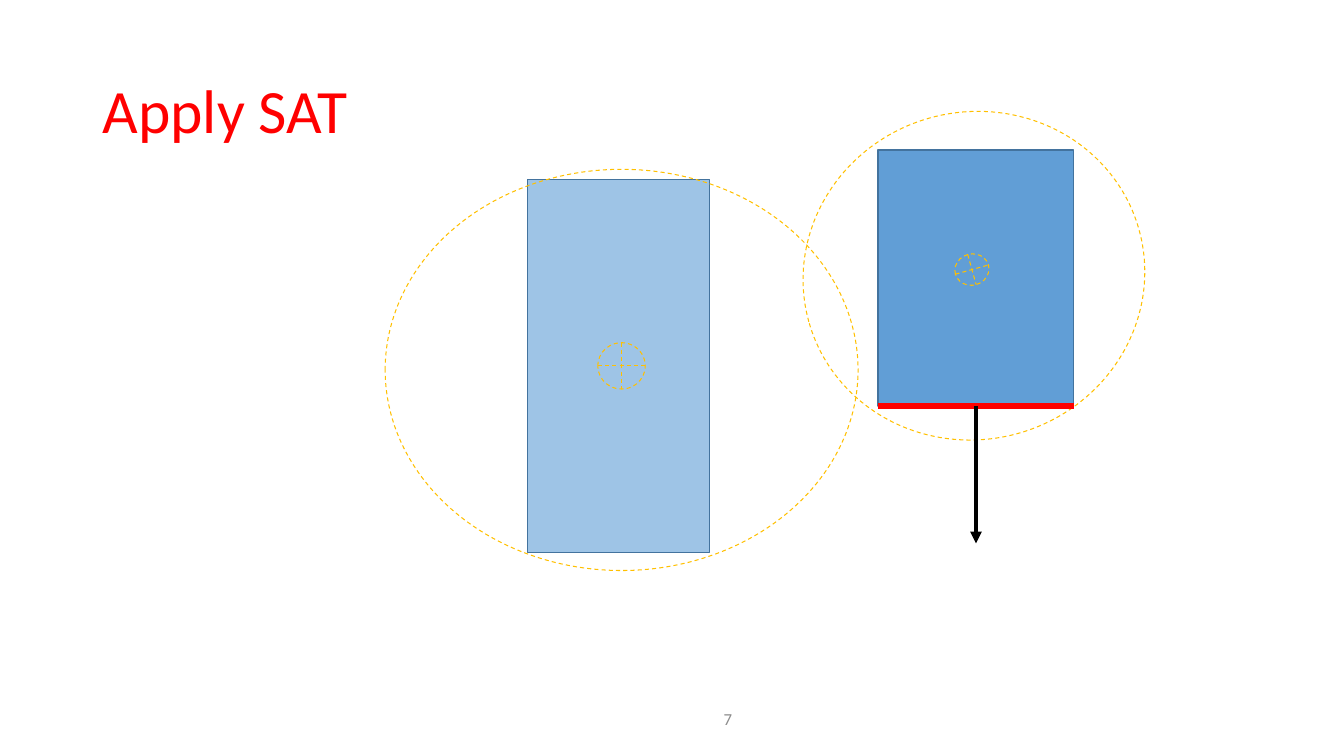
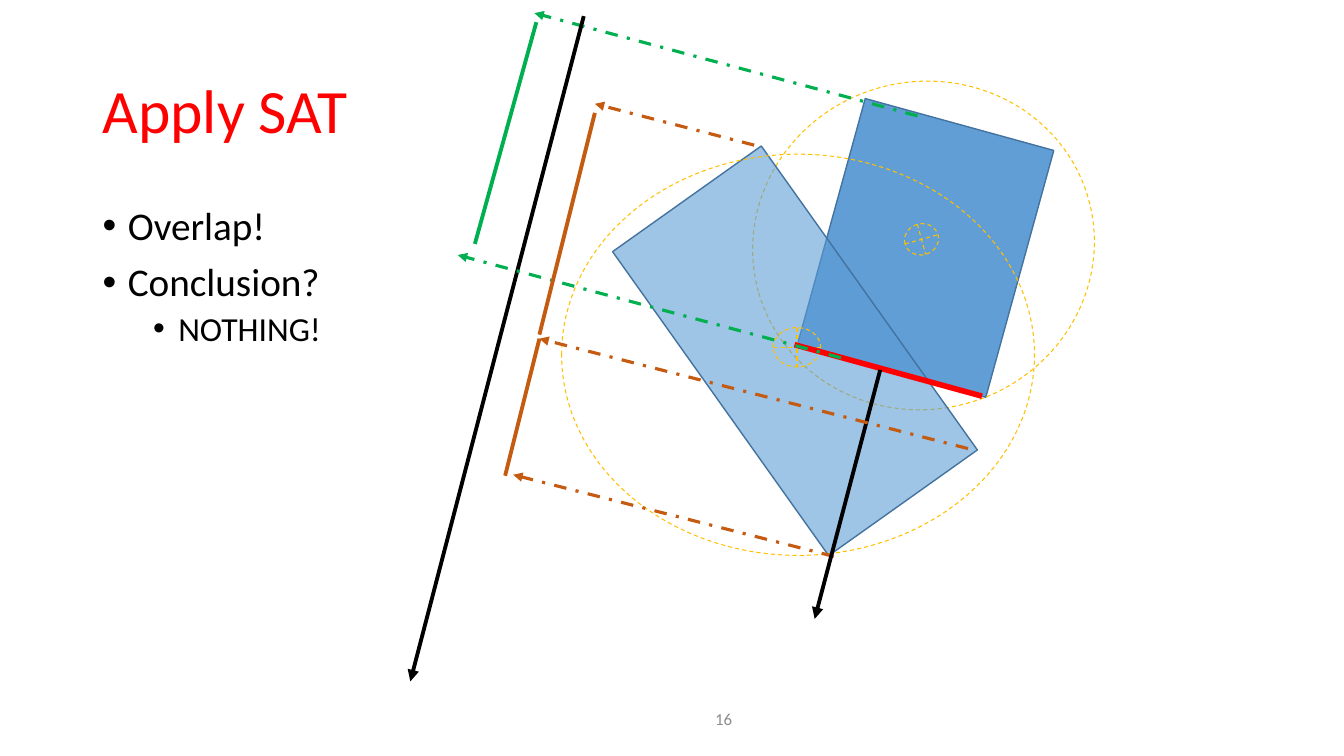
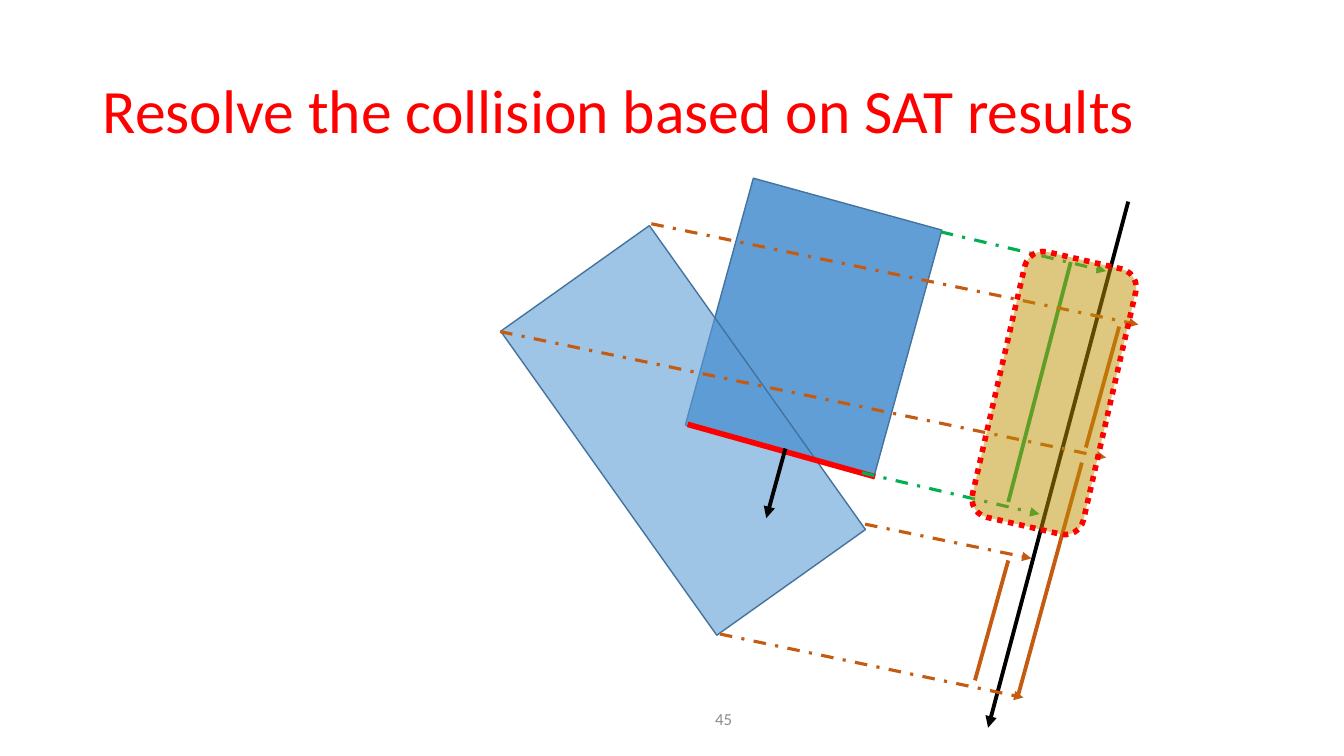
from dataclasses import dataclass

from lxml import etree
from pptx import Presentation
from pptx.dml.color import RGBColor
from pptx.enum.dml import MSO_LINE
from pptx.enum.shapes import MSO_CONNECTOR, MSO_SHAPE
from pptx.enum.text import MSO_ANCHOR, PP_ALIGN
from pptx.oxml.ns import qn
from pptx.util import Inches, Pt

RECT, ROUND_RECT = MSO_SHAPE.RECTANGLE, MSO_SHAPE.ROUNDED_RECTANGLE
OVAL, HUB = MSO_SHAPE.OVAL, MSO_SHAPE.FLOWCHART_OR
DASH, DASH_DOT, DOT = MSO_LINE.DASH, MSO_LINE.DASH_DOT, MSO_LINE.ROUND_DOT
STRAIGHT = MSO_CONNECTOR.STRAIGHT
TOP, MIDDLE = MSO_ANCHOR.TOP, MSO_ANCHOR.MIDDLE
LEFT, RIGHT = PP_ALIGN.LEFT, PP_ALIGN.RIGHT

FONT = "Calibri"
RED, BLACK, GREY = "FF0000", "000000", "8C8C8C"
BLUE, BLUE_EDGE, GOLD, OVERLAP = "5B9BD5", "43739E", "FFC000", "BF9000"
GREEN, ORANGE = "00B050", "C55A11"
BOTTOM_SITE = 2


@dataclass(frozen=True)
class Bound:
    kind: int
    dx: float
    dy: float
    w: float
    h: float


@dataclass(frozen=True)
class Body:
    w: float
    h: float
    alpha: int
    bound_rot: float
    bounds: tuple


@dataclass(frozen=True)
class Stroke:
    color: str
    width: float
    dash: int | None = None
    arrow: bool = False


@dataclass(frozen=True)
class Segment:
    x1: float
    y1: float
    x2: float
    y2: float
    stroke: Stroke


EDGE = Stroke(RED, 4)
AXIS = Stroke(BLACK, 2.75, arrow=True)
GREEN_SPAN, ORANGE_SPAN = Stroke(GREEN, 2.75), Stroke(ORANGE, 2.75)
GREEN_RAY = Stroke(GREEN, 2.25, DASH_DOT, True)
ORANGE_RAY = Stroke(ORANGE, 2.25, DASH_DOT, True)
BODY_LINE = Stroke(BLUE_EDGE, 1)
BOUND_LINE = Stroke(GOLD, 0.75, DASH)

DARK = Body(1.94, 2.54, 96, 344.4, (
    Bound(OVAL, -0.75, -0.38, 3.4, 3.25),
    Bound(HUB, 0.76, 1.03, 0.34, 0.31),
))
LIGHT_BOUND = Bound(OVAL, -1.41, -0.1, 4.69, 3.98)
LIGHT = Body(1.81, 3.7, 59, 0, (LIGHT_BOUND, Bound(HUB, 0.7, 1.62, 0.47, 0.46)))
LIGHT_TURNED = Body(1.81, 3.7, 59, 0, (LIGHT_BOUND, Bound(HUB, 0.69, 1.62, 0.47, 0.39)))
DARK_TURN, LIGHT_TURN = 15.4, 324.6

PROJECTIONS_LEFT = [
    Segment(7.88, 3.42, 9.74, 3.93, EDGE),
    Segment(8.27, 5.52, 5.09, 4.71, ORANGE_RAY),
    Segment(5.01, 4.72, 5.35, 3.36, ORANGE_SPAN),
    Segment(9.1, 1.15, 5.3, 0.13, GREEN_RAY),
    Segment(4.71, 2.42, 5.32, 0.22, GREEN_SPAN),
    Segment(8.73, 3.67, 8.08, 6.14, AXIS),
    Segment(5.79, 0.16, 4.07, 6.76, AXIS),
    Segment(8.34, 3.55, 4.54, 2.53, GREEN_RAY),
    Segment(9.6, 4.45, 5.35, 3.36, ORANGE_RAY),
    Segment(7.48, 1.44, 5.9, 1.03, ORANGE_RAY),
    Segment(5.35, 3.32, 5.9, 1.12, ORANGE_SPAN),
]
PROJECTIONS_RIGHT = [
    Segment(8.68, 4.73, 6.82, 4.21, EDGE),
    Segment(7.79, 4.45, 7.6, 5.14, AXIS),
    Segment(8.58, 5.2, 10.23, 5.54, ORANGE_RAY),
    Segment(10.77, 4.44, 11.1, 3.24, ORANGE_SPAN),
    Segment(9.33, 2.3, 10.97, 2.69, GREEN_RAY),
    Segment(10.62, 2.6, 10, 4.98, GREEN_SPAN),
    Segment(11.19, 2, 9.8, 7.22, AXIS),
    Segment(8.55, 4.69, 10.31, 5.1, GREEN_RAY),
    Segment(7.14, 6.29, 10.15, 6.92, ORANGE_RAY),
    Segment(6.46, 2.22, 11.29, 3.22, ORANGE_RAY),
    Segment(4.96, 3.29, 10.97, 4.54, ORANGE_RAY),
    Segment(9.67, 6.75, 10, 5.56, ORANGE_SPAN),
    Segment(10.1, 6.89, 10.73, 4.59, ORANGE_SPAN),
]


def rgb(value: str) -> RGBColor:
    return RGBColor.from_string(value)


def style_line(line, stroke: Stroke) -> None:
    line.color.rgb = rgb(stroke.color)
    line.width = Pt(stroke.width)
    if stroke.dash is not None:
        line.dash_style = stroke.dash


def add_figure(s, kind: int, x: float, y: float, w: float, h: float, stroke: Stroke,
               *, rot: float = 0, fill: str | None = None, alpha: int = 100):
    sp = s.shapes.add_shape(kind, Inches(x), Inches(y), Inches(w), Inches(h))
    sp.shadow.inherit = False
    sp.rotation = rot
    if fill:
        sp.fill.solid()
        sp.fill.fore_color.rgb = rgb(fill)
        color = sp._element.spPr.find(qn("a:solidFill"))[0]
        etree.SubElement(color, qn("a:alpha"), val=str(alpha * 1000))
    else:
        sp.fill.background()
    style_line(sp.line, stroke)
    return sp


def add_body(s, body: Body, x: float, y: float, *, rot: float = 0, bounded: bool = True):
    rect = add_figure(s, RECT, x, y, body.w, body.h, BODY_LINE,
                      rot=rot, fill=BLUE, alpha=body.alpha)
    for b in body.bounds if bounded else ():
        add_figure(s, b.kind, x + b.dx, y + b.dy, b.w, b.h, BOUND_LINE, rot=body.bound_rot)
    return rect


def add_segment(s, seg: Segment):
    cn = s.shapes.add_connector(STRAIGHT, Inches(seg.x1), Inches(seg.y1),
                                Inches(seg.x2), Inches(seg.y2))
    style_line(cn.line, seg.stroke)
    spPr = cn._element.spPr
    if seg.stroke.arrow:
        etree.SubElement(spPr.find(qn("a:ln")), qn("a:tailEnd"), type="triangle")
    etree.SubElement(spPr, qn("a:effectLst"))
    return cn


def add_text_box(s, x: float, y: float, w: float, h: float, anchor: int = MIDDLE):
    tf = s.shapes.add_textbox(Inches(x), Inches(y), Inches(w), Inches(h)).text_frame
    tf.word_wrap = True
    tf.vertical_anchor = anchor
    return tf


def write(p, text: str, *, size: float, color: str = BLACK, align: int = LEFT,
          spacing: float = 1.0, before: float = 0, level: int = 0,
          indent: float | None = None) -> None:
    p.alignment, p.line_spacing, p.level = align, spacing, level
    p.space_before = Pt(before)
    if indent is not None:
        pPr = p._p.get_or_add_pPr()
        pPr.set("marL", str(Inches(indent)))
        pPr.set("indent", str(Inches(-0.25)))
        etree.SubElement(pPr, qn("a:buFont"), typeface="Arial")
        etree.SubElement(pPr, qn("a:buChar"), char="•")
    r = p.add_run()
    r.text = text
    r.font.name, r.font.size = FONT, Pt(size)
    r.font.color.rgb = rgb(color)


def add_bullets(s, items: list[tuple[str, int]]) -> None:
    tf = add_text_box(s, 0.92, 2, 11.5, 4.76, TOP)
    for i, (text, level) in enumerate(items):
        p = tf.add_paragraph() if i else tf.paragraphs[0]
        write(p, text, size=28 - 4 * level, spacing=0.9, before=10 - 5 * level,
              level=level, indent=0.25 + 0.5 * level)


def new_slide(prs, title: str, number: int):
    s = prs.slides.add_slide(prs.slide_layouts[6])
    write(add_text_box(s, 6.17, 6.93, 1.19, 0.4).paragraphs[0], str(number),
          size=12, color=GREY, align=RIGHT)
    write(add_text_box(s, 0.92, 0.4, 11.5, 1.45).paragraphs[0], title,
          size=44, color=RED, spacing=0.9)
    return s


def build_edge_normal(prs) -> None:
    s = new_slide(prs, "Apply SAT", 7)
    dark = add_body(s, DARK, 8.71, 1.49)
    add_body(s, LIGHT, 5.23, 1.78)
    add_segment(s, Segment(10.65, 4.03, 8.71, 4.03, EDGE))
    normal = add_segment(s, Segment(9.68, 4.03, 9.68, 5.39, AXIS))
    normal.begin_connect(dark, BOTTOM_SITE)


def build_overlap(prs) -> None:
    s = new_slide(prs, "Apply SAT", 16)
    add_bullets(s, [("Overlap!", 0), ("Conclusion?", 0), ("NOTHING!", 1)])
    add_body(s, DARK, 8.21, 1.19, rot=DARK_TURN)
    add_body(s, LIGHT_TURNED, 6.98, 1.63, rot=LIGHT_TURN)
    for seg in PROJECTIONS_LEFT:
        add_segment(s, seg)


def build_resolution(prs) -> None:
    s = new_slide(prs, "Resolve the collision based on SAT results", 45)
    add_body(s, DARK, 7.1, 1.98, rot=DARK_TURN, bounded=False)
    add_body(s, LIGHT, 5.87, 2.42, rot=LIGHT_TURN, bounded=False)
    for seg in PROJECTIONS_RIGHT:
        add_segment(s, seg)
    add_figure(s, ROUND_RECT, 9.89, 2.55, 1.13, 2.7, Stroke(RED, 4, DOT),
               rot=12.9, fill=OVERLAP, alpha=50)


def main() -> None:
    prs = Presentation()
    prs.slide_width, prs.slide_height = Inches(13.33), Inches(7.5)
    build_edge_normal(prs)
    build_overlap(prs)
    build_resolution(prs)
    prs.save("out.pptx")


if __name__ == "__main__":
    main()
